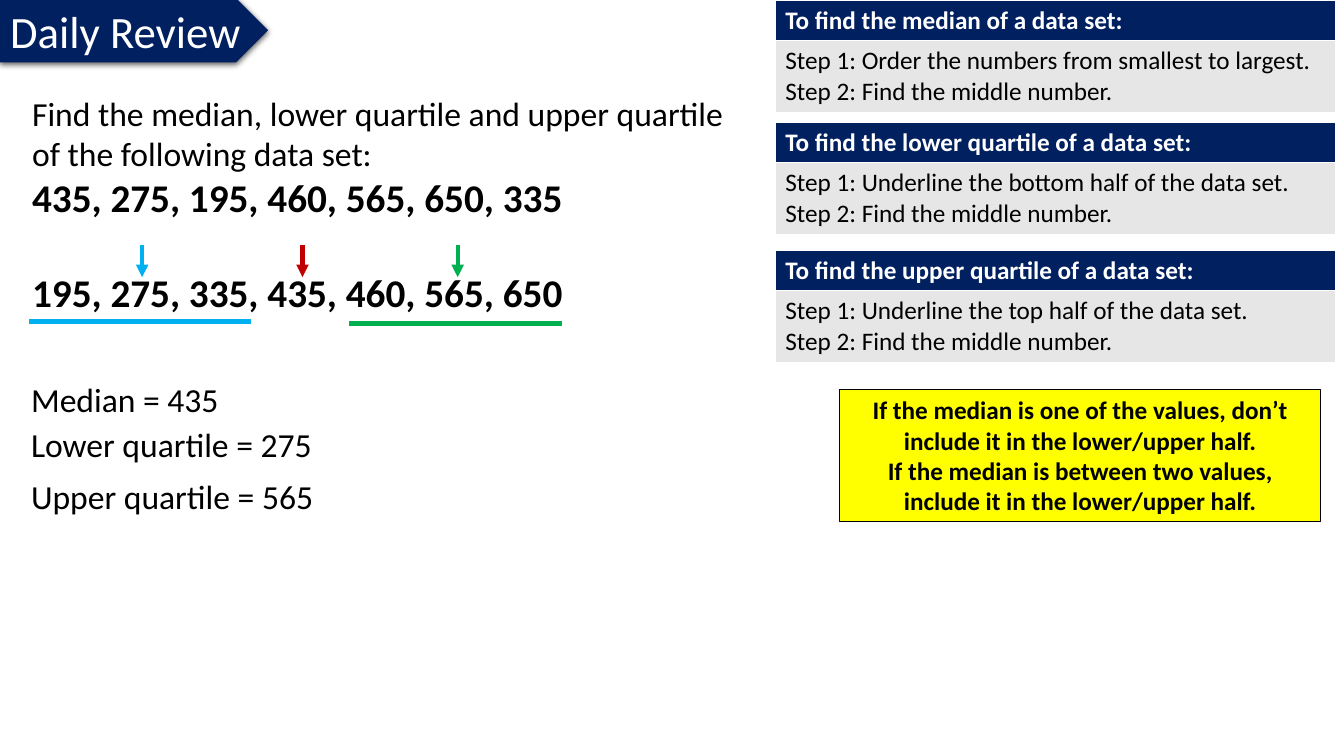
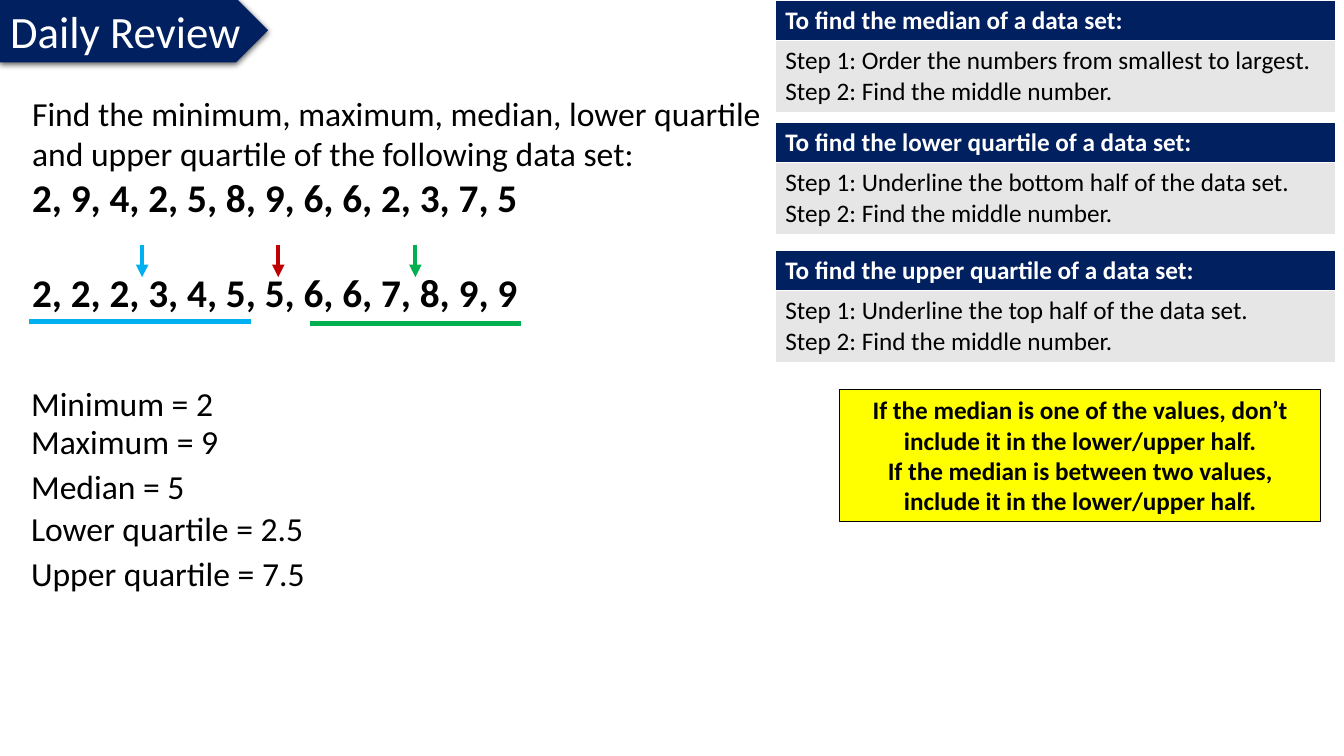
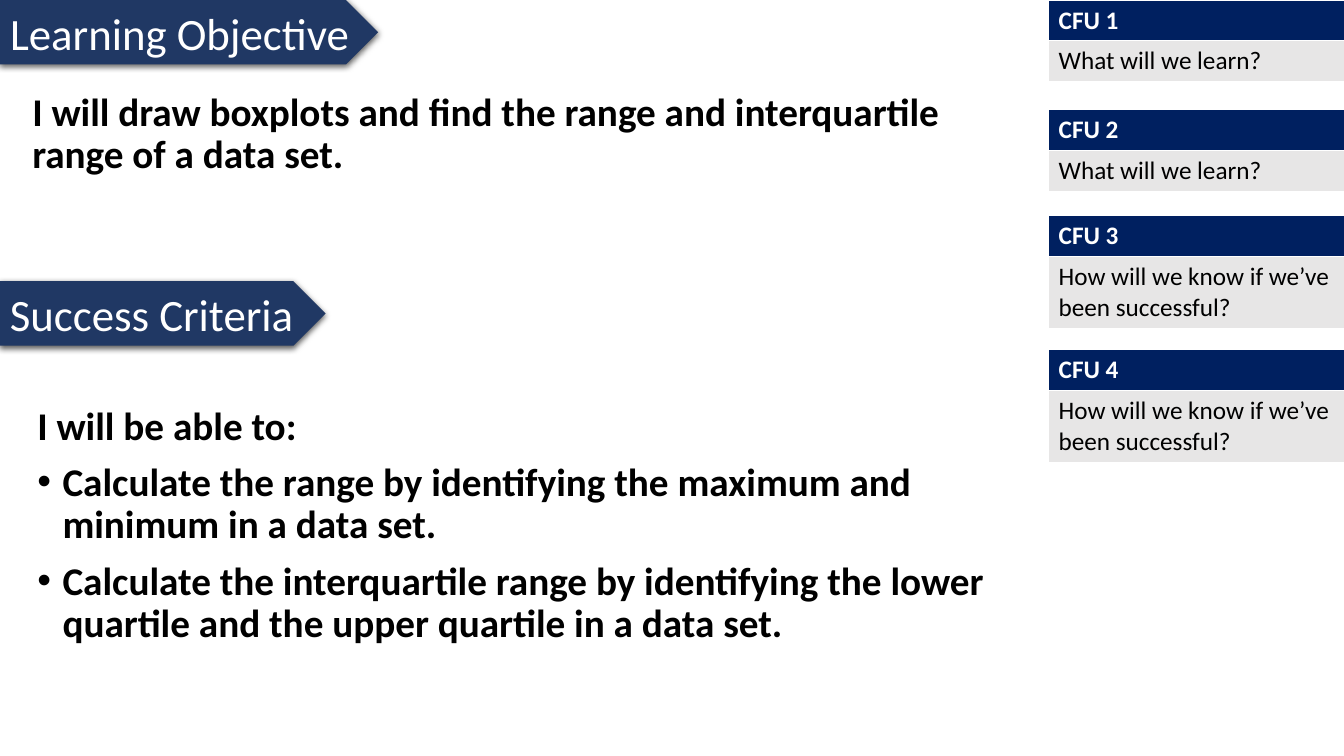
from dataclasses import dataclass

from lxml.etree import SubElement
from pptx import Presentation
from pptx.dml.color import RGBColor
from pptx.enum.shapes import MSO_CONNECTOR, MSO_SHAPE
from pptx.enum.text import MSO_ANCHOR, MSO_AUTO_SIZE, PP_ALIGN
from pptx.oxml.ns import qn
from pptx.util import Inches, Pt

FONT = "Calibri"
COLOURS = {
    "white": "FFFFFF",
    "black": "000000",
    "navy": "002060",
    "slate": "203864",
    "grey": "E7E6E6",
    "yellow": "FFFF00",
    "median": "C00000",
    "lower": "00B0F0",
    "upper": "00B050",
}
TITLE_ONLY, TWO_CONTENT = 5, 3
BANNER_HEIGHT = 0.64
HEADER_HEIGHT = 0.4
ARROW_TOP, ARROW_BOTTOM = 2.43, 2.75

MIDDLE_STEP = "Step 2: Find the middle number."
METHODS = [
    (0, "median", "Step 1: Order the numbers from smallest to largest."),
    (1.21, "lower quartile", "Step 1: Underline the bottom half of the data set."),
    (2.48, "upper quartile", "Step 1: Underline the top half of the data set."),
]
HINTS = [
    "If the median is one of the values, don’t include it in the lower/upper half.",
    "If the median is between two values, include it in the lower/upper half.",
]
LEARN = "What will we learn?"
SUCCESSFUL = "How will we know if we’ve been successful?"
CHECKS = [(0, 0.8, LEARN), (1.09, 0.8, LEARN), (2.14, 1.1, SUCCESSFUL), (3.47, 1.1, SUCCESSFUL)]


@dataclass
class Line:
    """One paragraph of text and its look."""
    text: str
    size: float = 18
    colour: str = "black"
    bold: bool = False
    align: PP_ALIGN = PP_ALIGN.LEFT
    space_before: float = 0
    spacing: float = 1.0
    bullet: bool = False


def rgb(name):
    return RGBColor.from_string(COLOURS[name])


def box(left, top, width, height):
    return Inches(left), Inches(top), Inches(width), Inches(height)


def place(shape, left, top, width, height):
    shape.left, shape.top, shape.width, shape.height = box(left, top, width, height)


def set_bullet(paragraph, visible):
    properties = paragraph._p.get_or_add_pPr()
    indent = Inches(0.25) if visible else 0
    properties.set("marL", str(indent))
    properties.set("indent", str(-indent))
    if visible:
        SubElement(properties, qn("a:buChar")).set("char", "•")
    else:
        SubElement(properties, qn("a:buNone"))


def write(frame, lines):
    frame.word_wrap = True
    for index, line in enumerate(lines):
        paragraph = frame.add_paragraph() if index else frame.paragraphs[0]
        set_bullet(paragraph, line.bullet)
        paragraph.alignment = line.align
        paragraph.line_spacing = line.spacing
        paragraph.space_before = Pt(line.space_before)
        run = paragraph.add_run()
        run.text = line.text
        run.font.name = FONT
        run.font.size = Pt(line.size)
        run.font.bold = line.bold
        run.font.color.rgb = rgb(line.colour)


def add_text(slide, bounds, lines):
    write(slide.shapes.add_textbox(*box(*bounds)).text_frame, lines)


def add_soft_shadow(shape):
    effects = SubElement(shape._element.spPr, qn("a:effectLst"))
    shadow = SubElement(effects, qn("a:outerShdw"), blurRad=str(Pt(4.5)), dist=str(Pt(1.5)),
                        dir="5400000", algn="t", rotWithShape="0")
    colour = SubElement(shadow, qn("a:srgbClr"), val=COLOURS["black"])
    SubElement(colour, qn("a:alpha"), val="63000")


def add_banner(slide, top, width, colour):
    banner = slide.shapes.add_shape(MSO_SHAPE.PENTAGON, *box(0, top, width, BANNER_HEIGHT))
    banner.fill.solid()
    banner.fill.fore_color.rgb = rgb(colour)
    banner.line.fill.background()
    add_soft_shadow(banner)
    banner.text_frame.vertical_anchor = MSO_ANCHOR.MIDDLE
    return banner


def banner_line(text):
    return Line(text, 32, "white")


def add_title(slide, text, top, width, colour):
    """Put the title placeholder in front of a banner of the same size."""
    banner = add_banner(slide, top, width, colour)
    title = slide.shapes.title
    banner._element.addnext(title._element)
    place(title, 0, top, width, BANNER_HEIGHT)
    title.text_frame.auto_size = MSO_AUTO_SIZE.NONE
    title.text_frame.vertical_anchor = MSO_ANCHOR.MIDDLE
    write(title.text_frame, [banner_line(text)])


def add_card(slide, bounds, heading, texts):
    """Add a table with a navy heading row above a grey row."""
    table = slide.shapes.add_table(2, 1, *box(*bounds)).table
    table.horz_banding = False
    table.rows[0].height = Inches(HEADER_HEIGHT)
    table.rows[1].height = Inches(bounds[3] - HEADER_HEIGHT)
    rows = [
        ("navy", [Line(heading, colour="white", bold=True)]),
        ("grey", [Line(text) for text in texts]),
    ]
    for index, (colour, lines) in enumerate(rows):
        cell = table.cell(index, 0)
        cell.fill.solid()
        cell.fill.fore_color.rgb = rgb(colour)
        write(cell.text_frame, lines)


def add_line(slide, start, end, colour, arrow=False):
    line = slide.shapes.add_connector(MSO_CONNECTOR.STRAIGHT, *box(*start, *end))
    line.line.color.rgb = rgb(colour)
    line.line.width = Pt(3)
    if arrow:
        SubElement(line.line._get_or_add_ln(), qn("a:tailEnd"), type="triangle")
    SubElement(line._element.spPr, qn("a:effectLst"))


def add_hint(slide):
    hint = slide.shapes.add_shape(MSO_SHAPE.RECTANGLE, *box(8.33, 3.86, 4.77, 1.31))
    hint.shadow.inherit = False
    hint.fill.solid()
    hint.fill.fore_color.rgb = rgb("yellow")
    hint.line.color.rgb = rgb("black")
    hint.line.width = Pt(0.75)
    hint.text_frame.vertical_anchor = MSO_ANCHOR.MIDDLE
    write(hint.text_frame, [Line(text, bold=True, align=PP_ALIGN.CENTER) for text in HINTS])


def add_review_slide(presentation, question, width, data, ordered, arrows, underlines, answers):
    slide = presentation.slides.add_slide(presentation.slide_layouts[TITLE_ONLY])
    add_title(slide, "Daily Review", -0.02, 2.66, "navy")
    for top, measure, first_step in METHODS:
        add_card(slide, (7.69, top, 5.56, 1.1), f"To find the {measure} of a data set:",
                 [first_step, MIDDLE_STEP])
    add_hint(slide)
    add_text(slide, (0.22, 0.87, width, 2.32), [
        Line(question, 24),
        Line(data, 28, bold=True),
        Line(ordered, 28, bold=True, space_before=34),
    ])
    for colour, x in arrows.items():
        add_line(slide, (x, ARROW_TOP), (x, ARROW_BOTTOM), colour, arrow=True)
    for colour, (left, right, y) in underlines.items():
        add_line(slide, (left, y), (right, y), colour)
    for top, answer in answers:
        add_text(slide, (0.21, top, 4.97, 0.5), [Line(answer, 24)])


def add_objective_slide(presentation):
    slide = presentation.slides.add_slide(presentation.slide_layouts[TWO_CONTENT])
    add_title(slide, "Learning Objective", 0, 3.75, "slate")
    criteria_banner = add_banner(slide, 2.79, 3.23, "slate")
    write(criteria_banner.text_frame, [banner_line("Success Criteria")])
    for number, (top, height, question) in enumerate(CHECKS, start=1):
        add_card(slide, (10.4, top, 2.94, height), f"CFU {number}", [question])

    objective, criteria = slide.placeholders[1], slide.placeholders[2]
    place(objective, 0.22, 0.87, 9.7, 1.8)
    place(criteria, 0.27, 3.98, 9.59, 2.73)
    strong = {"size": 28, "bold": True, "spacing": 0.9}
    write(objective.text_frame, [
        Line("I will draw boxplots and find the range and interquartile range of a data set.",
             **strong),
    ])
    write(criteria.text_frame, [
        Line("I will be able to:", **strong),
        Line("Calculate the range by identifying the maximum and minimum in a data set.",
             space_before=10, bullet=True, **strong),
        Line("Calculate the interquartile range by identifying the lower quartile and the "
             "upper quartile in a data set.", space_before=10, bullet=True, **strong),
    ])
    for placeholder in (objective, criteria):
        placeholder.text_frame.auto_size = MSO_AUTO_SIZE.NONE


def main():
    presentation = Presentation()
    presentation.slide_width, presentation.slide_height = Inches(13.33), Inches(7.5)
    add_review_slide(
        presentation,
        "Find the median, lower quartile and upper quartile of the following data set:", 7.09,
        "435, 275, 195, 460, 565, 650, 335",
        "195, 275, 335, 435, 460, 565, 650",
        arrows={"median": 3, "lower": 1.41, "upper": 4.54},
        underlines={"lower": (0.29, 2.49, 3.19), "upper": (3.46, 5.57, 3.21)},
        answers=[(3.71, "Median = 435"), (4.16, "Lower quartile = 275"),
                 (4.67, "Upper quartile = 565")],
    )
    add_review_slide(
        presentation,
        "Find the minimum, maximum, median, lower quartile and upper quartile "
        "of the following data set:", 7.56,
        "2, 9, 4, 2, 5, 8, 9, 6, 6, 2, 3, 7, 5",
        "2, 2, 2, 3, 4, 5, 5, 6, 6, 7, 8, 9, 9",
        arrows={"median": 2.76, "lower": 1.41, "upper": 4.12},
        underlines={"lower": (0.29, 2.49, 3.19), "upper": (3.07, 5.17, 3.21)},
        answers=[(3.75, "Minimum = 2"), (4.13, "Maximum = 9"), (4.57, "Median = 5"),
                 (4.99, "Lower quartile = 2.5"), (5.44, "Upper quartile = 7.5")],
    )
    add_objective_slide(presentation)
    presentation.save("out.pptx")


if __name__ == "__main__":
    main()
